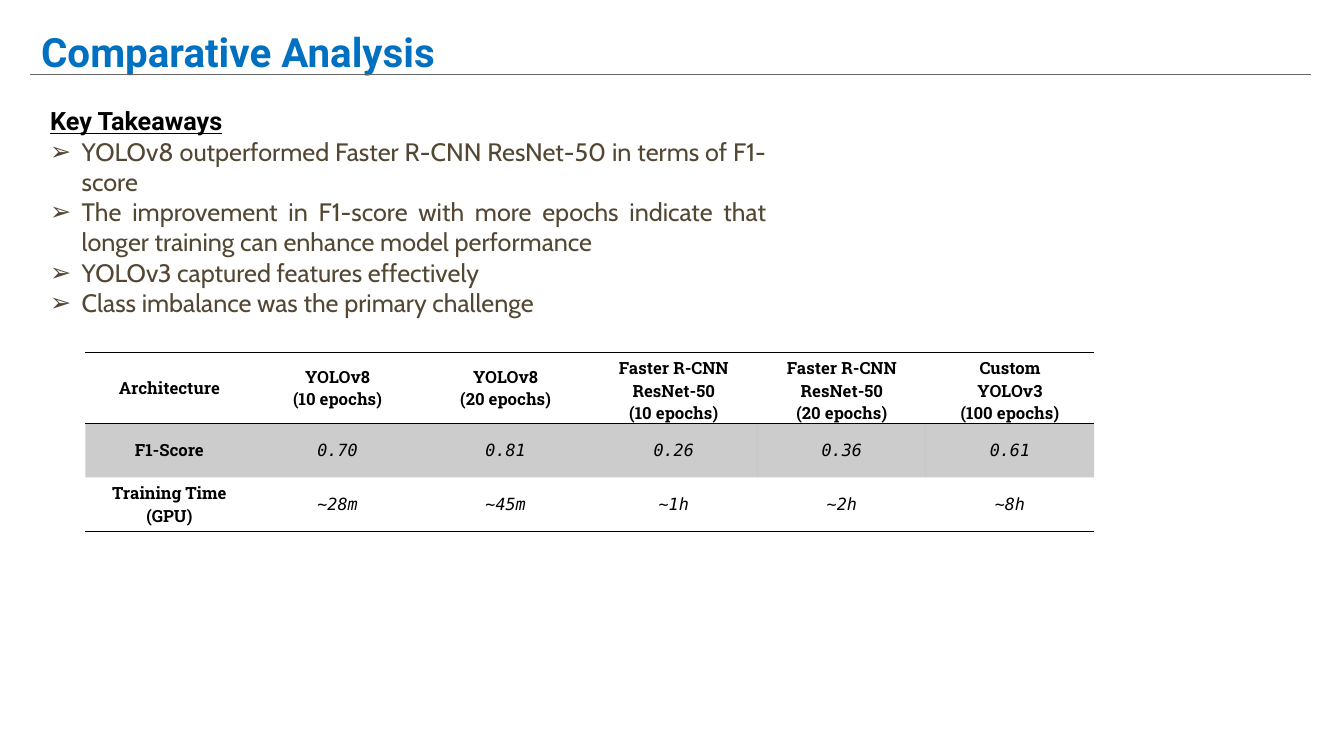
"""Build the Comparative Analysis slide with its takeaways and results table."""
import lxml.etree
import pptx
import pptx.dml.color
import pptx.enum.shapes
import pptx.enum.text
import pptx.oxml.ns
import pptx.util

Pt = pptx.util.Pt
qn = pptx.oxml.ns.qn
ALIGN = pptx.enum.text.PP_ALIGN
ANCHOR = pptx.enum.text.MSO_ANCHOR

THEME = {
    "title": {"font": "Roboto", "size": 28.8, "color": "0070C0", "bold": True},
    "heading": {"font": "Roboto", "size": 18, "color": "000000", "bold": True, "underline": True},
    "bullet": {"font": "Cabin", "size": 18, "color": "534733"},
    "label": {"font": "Roboto Slab", "size": 12, "color": "000000", "bold": True},
    "value": {"font": "DejaVu Sans Mono", "size": 12, "color": "000000", "italic": True},
    "rule": "666666",
    "border": "000000",
    "band": "000000",
}


def style_runs(p, style):
    for r in p.runs:
        r.font.name = style["font"]
        r.font.size = Pt(style["size"])
        r.font.color.rgb = pptx.dml.color.RGBColor.from_string(style["color"])
        r.font.bold = style.get("bold", False)
        r.font.italic = style.get("italic", False)
        r.font.underline = style.get("underline", False)


def add_xml(parent, tag, **attrs):
    return lxml.etree.SubElement(parent, qn(tag), attrs)


prs = pptx.Presentation()
prs.slide_width, prs.slide_height = Pt(960), Pt(540)
s = prs.slides.add_slide(prs.slide_layouts[6])

title = s.shapes.add_textbox(Pt(22.3), Pt(23.8), Pt(900), Pt(34.5))
tf = title.text_frame
tf.word_wrap = True
tf.vertical_anchor = ANCHOR.MIDDLE
p = tf.paragraphs[0]
p.text = "Comparative Analysis"
p.line_spacing = 0.7
style_runs(p, THEME["title"])

rule = s.shapes.add_connector(
    pptx.enum.shapes.MSO_CONNECTOR.STRAIGHT, Pt(21.6), Pt(53.3), Pt(936.7), Pt(53.3)
)
rule.line.color.rgb = pptx.dml.color.RGBColor.from_string(THEME["rule"])
rule.line.width = Pt(0.75)
add_xml(rule.element.spPr, "a:effectLst")

takeaways = [
    "YOLOv8 outperformed Faster R-CNN ResNet-50 in terms of F1-score",
    "The improvement in F1-score with more epochs indicate that longer training"
    " can enhance model performance",
    "YOLOv3 captured features effectively",
    "Class imbalance was the primary challenge",
]
box = s.shapes.add_textbox(Pt(28.8), Pt(72), Pt(525.6), Pt(203.8))
tf = box.text_frame
tf.word_wrap = True
tf.text = "\n".join(["Key Takeaways"] + takeaways)
for i, p in enumerate(tf.paragraphs):
    p.alignment = ALIGN.JUSTIFY
    if i > 0:
        pPr = p._p.get_or_add_pPr()
        pPr.set("marL", str(Pt(22.5)))
        pPr.set("indent", str(-Pt(22.5)))
        add_xml(pPr, "a:buFont", typeface=THEME["bullet"]["font"])
        add_xml(pPr, "a:buChar", char="➢")
    style_runs(p, THEME["bullet" if i else "heading"])

rows = [
    ["Architecture", "YOLOv8\v(10 epochs)", "YOLOv8\v(20 epochs)",
     "Faster R-CNN ResNet-50\v(10 epochs)", "Faster R-CNN ResNet-50\v(20 epochs)",
     "Custom\vYOLOv3\n(100 epochs)"],
    ["F1-Score", "0.70", "0.81", "0.26", "0.36", "0.61"],
    ["Training Time\v(GPU)", "~28m", "~45m", "~1h", "~2h", "~8h"],
]
row_heights = [50.7, 38.7, 38.7]
column_width = 120.1
ruled_edges = {0, 1, 3}
three_line_columns = {3, 4, 5}

frame = s.shapes.add_table(
    len(rows), len(rows[0]), Pt(61), Pt(251.6),
    Pt(column_width * len(rows[0])), Pt(sum(row_heights)),
)
table = frame.table
table.first_row = False
table.horz_banding = False
for column in table.columns:
    column.width = Pt(column_width)
for i, row in enumerate(rows):
    table.rows[i].height = Pt(row_heights[i])
    for j, text in enumerate(row):
        cell = table.cell(i, j)
        cell.vertical_anchor = ANCHOR.MIDDLE
        cell.margin_top = Pt(3.6 if i == 0 and j in three_line_columns else 0)
        cell.margin_bottom = Pt(0)
        tcPr = cell._tc.get_or_add_tcPr()
        for side, edge in (("L", None), ("R", None), ("T", i), ("B", i + 1)):
            if edge in ruled_edges:
                ln = add_xml(tcPr, "a:ln" + side, w=str(Pt(1)))
                fill = add_xml(ln, "a:solidFill")
                add_xml(fill, "a:srgbClr", val=THEME["border"])
            else:
                ln = add_xml(tcPr, "a:ln" + side, w="0")
                add_xml(ln, "a:noFill")
        if i == 1:
            fill = add_xml(tcPr, "a:solidFill")
            color = add_xml(fill, "a:srgbClr", val=THEME["band"])
            add_xml(color, "a:alpha", val="20000")
        else:
            add_xml(tcPr, "a:noFill")
        cell.text_frame.text = text
        for p in cell.text_frame.paragraphs:
            p.alignment = ALIGN.CENTER
            style_runs(p, THEME["label" if i == 0 or j == 0 else "value"])

prs.save("out.pptx")
